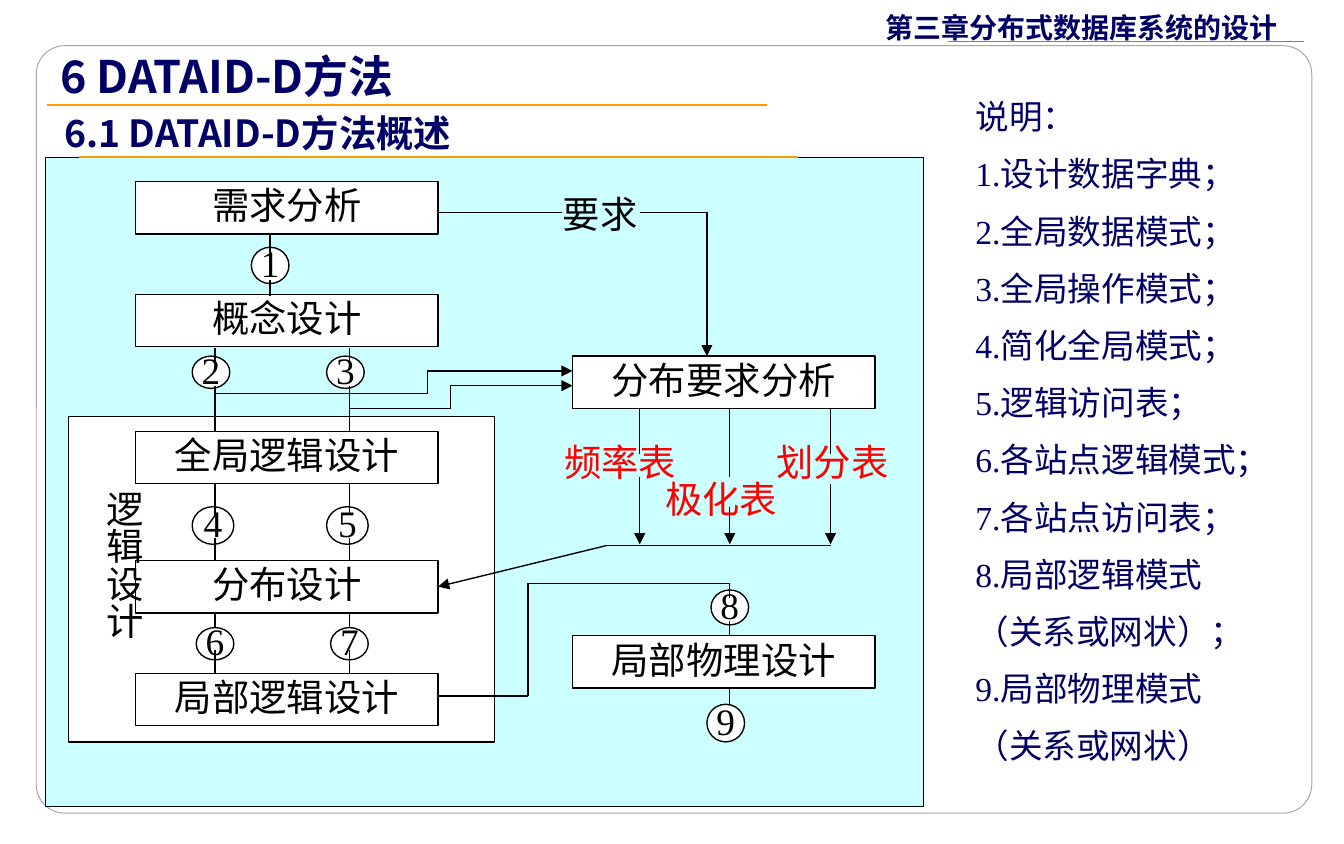
from lxml.etree import SubElement
from pptx import Presentation
from pptx.dml.color import RGBColor
from pptx.enum.shapes import MSO_CONNECTOR, MSO_SHAPE
from pptx.enum.text import MSO_ANCHOR, PP_ALIGN
from pptx.oxml.ns import qn
from pptx.util import Inches, Pt

COLORS = {"navy": "000066", "black": "000000", "white": "FFFFFF", "red": "FF0000",
          "orange": "FF9900", "panel": "CCFFFF", "frame": "A5A5A5", "rule": "7F7F7F"}
SANS, SERIF = "Noto Sans CJK SC", "Times New Roman"

CHAPTER = "第三章分布式数据库系统的设计"
HEADINGS = [
    ("6 DATAID-D方法", (0.35, 0.31, 5, 0.5), 24),
    ("6.1 DATAID-D方法概述", (0.38, 0.77, 5.8, 0.44), 20),
]
HEADING_RULES = [(0.35, 5.71, 0.78), (0.59, 5.94, 1.17)]
LEGEND = [
    "说明：", "1.设计数据字典；", "2.全局数据模式；", "3.全局操作模式；",
    "4.简化全局模式；", "5.逻辑访问表；", "6.各站点逻辑模式；", "7.各站点访问表；",
    "8.局部逻辑模式", "（关系或网状）；", "9.局部物理模式", "（关系或网状）",
]

STEP_SIZE = (2.25, 0.39)
STEPS = [
    ("全局逻辑设计", 1.01, 3.21), ("分布设计", 1.01, 4.17), ("局部逻辑设计", 1.01, 5.01),
    ("需求分析", 1.01, 1.35), ("概念设计", 1.01, 2.19),
    ("分布要求分析", 4.26, 2.65), ("局部物理设计", 4.26, 4.73),
]
MARKERS = [
    ("1", 1.87, 1.84, 0.28, 0.27), ("8", 5.29, 4.39, 0.28, 0.26),
    ("7", 2.46, 4.67, 0.28, 0.24), ("6", 1.46, 4.67, 0.28, 0.24),
    ("5", 2.43, 3.77, 0.31, 0.28), ("4", 1.43, 3.77, 0.31, 0.28),
    ("3", 2.43, 2.65, 0.28, 0.24), ("2", 1.43, 2.65, 0.28, 0.24),
    ("9", 5.26, 5.24, 0.28, 0.28),
]
LABELS = [
    ("要求", (4.09, 1.41, 0.85, 0.4), "black"),
    ("频率表", (4.1, 3.26, 1.33, 0.4), "red"),
    ("划分表", (5.68, 3.26, 1.33, 0.4), "red"),
    ("极化表", (4.85, 3.53, 1.33, 0.4), "red"),
]

PAIR_COLUMNS = (1.6, 2.6)
PAIR_SPANS = [(2.59, 2.7), (2.87, 3.21), (3.6, 3.83), (4, 4.17), (4.56, 4.67), (4.84, 5.01)]
PATHS = [
    [(2.01, 1.74), (2.01, 1.91)],
    [(2.01, 2.08), (2.01, 2.2)],
    [(3.26, 1.58), (4.18, 1.58)],
    [(4.76, 3.04), (4.76, 3.38)],
    [(5.43, 3.04), (5.43, 3.55)],
    [(6.18, 3.04), (6.18, 3.38)],
    [(4.51, 4.06), (6.18, 4.06)],
    [(3.26, 5.18), (3.93, 5.18), (3.93, 4.34), (5.43, 4.34), (5.43, 4.45)],
    [(5.43, 4.62), (5.43, 4.73)],
    [(5.43, 5.13), (5.43, 5.24)],
]
ARROW_PATHS = [
    [(4.76, 1.58), (5.26, 1.58), (5.26, 2.65)],
    [(1.6, 2.93), (3.18, 2.93), (3.18, 2.76), (4.26, 2.76)],
    [(2.6, 3.04), (3.35, 3.04), (3.35, 2.87), (4.26, 2.87)],
    [(4.76, 3.55), (4.76, 4.05)],
    [(5.43, 3.77), (5.43, 4.05)],
    [(6.18, 3.6), (6.18, 4.05)],
]
RESULT_ARROW = [(4.51, 4.06), (3.26, 4.37)]

presentation = Presentation()
presentation.slide_width, presentation.slide_height = Inches(10), Inches(6.28)
slide = presentation.slides.add_slide(presentation.slide_layouts[6])


def color(name):
    return RGBColor.from_string(COLORS[name])


def write(shape, lines, size, font=SERIF, ink="black", bold=False, spacing=None,
          before=0, align=PP_ALIGN.LEFT, margins=(0.1, 0.05)):
    frame = shape.text_frame
    frame.margin_left = frame.margin_right = Inches(margins[0])
    frame.margin_top = frame.margin_bottom = Inches(margins[1])
    frame.text = "\n".join(lines)
    for index, paragraph in enumerate(frame.paragraphs):
        paragraph.alignment = align
        paragraph.line_spacing = spacing
        paragraph.space_before = Pt(before if index else 0)
        for run in paragraph.runs:
            run.font.size, run.font.bold, run.font.name = Pt(size), bold, font
            run.font.color.rgb = color(ink)
            SubElement(run.font._element, qn("a:ea")).set("typeface", SANS)


def add_text(lines, box, size, **style):
    shape = slide.shapes.add_textbox(*map(Inches, box))
    shape.text_frame.word_wrap = True
    write(shape, lines, size, **style)
    return shape


def add_box(kind, box, fill="white", line="black", width=0.75):
    shape = slide.shapes.add_shape(kind, *map(Inches, box))
    shape.shadow.inherit = False
    shape.fill.solid()
    shape.fill.fore_color.rgb = color(fill)
    shape.line.color.rgb = color(line)
    shape.line.width = Pt(width)
    return shape


def add_node(kind, text, box):
    shape = add_box(kind, box)
    shape.text_frame.word_wrap = False
    shape.text_frame.vertical_anchor = MSO_ANCHOR.MIDDLE
    write(shape, [text], 20, spacing=0.9, align=PP_ALIGN.CENTER)
    return shape


def add_line(start, end, ink="black", width=0.75, arrow=False):
    connector = slide.shapes.add_connector(MSO_CONNECTOR.STRAIGHT, *map(Inches, start + end))
    connector.line.color.rgb = color(ink)
    connector.line.width = Pt(width)
    if arrow:
        SubElement(connector.line._get_or_add_ln(), qn("a:tailEnd")).set("type", "triangle")
    SubElement(connector._element.spPr, qn("a:effectLst"))
    return connector


def add_path(points, arrow=False):
    for start, end in zip(points, points[1:]):
        add_line(start, end, arrow=arrow and end == points[-1])


frame = add_box(MSO_SHAPE.ROUNDED_RECTANGLE, (0.27, 0.34, 9.49, 5.71), line="frame", width=0.5)
frame.adjustments[0] = 0.037
add_text([CHAPTER], (6.5, 0.03, 3.15, 0.34), 15, font=SANS, ink="navy", bold=True,
         margins=(0.09, 0.05))
add_line((9.7, 0.31), (7.05, 0.31), "rule")
add_text(LEGEND, (7.16, 0.7, 2.46, 5.06), 18, ink="navy", spacing=0.9, before=11.2)

add_box(MSO_SHAPE.RECTANGLE, (0.34, 1.17, 6.53, 4.83), fill="panel")
add_box(MSO_SHAPE.RECTANGLE, (0.51, 3.1, 3.17, 2.42))
steps = {text: add_node(MSO_SHAPE.RECTANGLE, text, (left, top, *STEP_SIZE))
         for text, left, top in STEPS}
phase = add_text(["逻辑设计"], (0.6, 3.55, 0.5, 1.75), 20, spacing=0.9, margins=(0.05, 0.1))
phase.text_frame._txBody.bodyPr.set("vert", "eaVert")
for text, *box in MARKERS:
    add_node(MSO_SHAPE.OVAL, text, box)
for text, box, ink in LABELS:
    add_text([text], box, 20, ink=ink, spacing=0.9)

for x in PAIR_COLUMNS:
    for top, bottom in PAIR_SPANS:
        add_line((x, top), (x, bottom))
for points in PATHS:
    add_path(points)
for points in ARROW_PATHS:
    add_path(points, arrow=True)
add_line(*RESULT_ARROW, arrow=True).end_connect(steps["分布设计"], 3)

for left, right, y in HEADING_RULES:
    add_line((left, y), (right, y), "orange", 1)
for text, box, size in HEADINGS:
    add_text([text], box, size, font=SANS, ink="navy", bold=True)

presentation.save("out.pptx")
